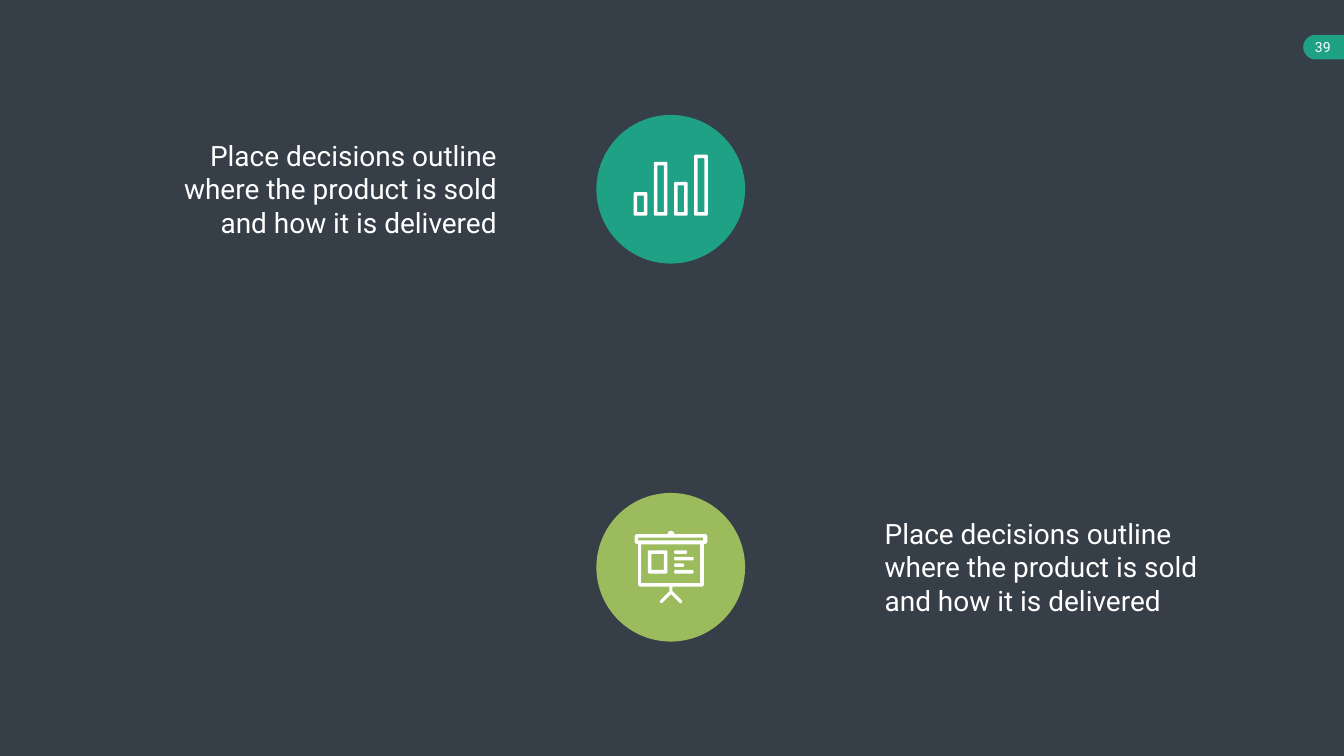
from pptx import Presentation
from pptx.dml.color import RGBColor
from pptx.enum.shapes import MSO_SHAPE
from pptx.enum.text import MSO_AUTO_SIZE, PP_ALIGN
from pptx.util import Inches, Pt

RECTANGLE = MSO_SHAPE.RECTANGLE
ELLIPSE = MSO_SHAPE.OVAL
DELAY = MSO_SHAPE.FLOWCHART_DELAY
LEFT, CENTER, RIGHT = PP_ALIGN.LEFT, PP_ALIGN.CENTER, PP_ALIGN.RIGHT
GROW = MSO_AUTO_SIZE.SHAPE_TO_FIT_TEXT

FONT = "Roboto"
DARK, TEAL, GREEN, WHITE = "363E48", "1EA185", "9BBB5C", "FFFFFF"
CAPTION = "Place decisions outline where the product is sold and how it is delivered"
SLIDE_WIDTH, SLIDE_HEIGHT = 26.66, 15
PANEL_WIDTH, PANEL_HEIGHT = SLIDE_WIDTH / 2, SLIDE_HEIGHT / 2
STROKE, CORNER = 0.07, 0.02
CIRCLE_LEFT, CIRCLE_SIZE = 11.83, 2.95
BOARD_CENTER = 13.31
BOARD_HALF = [
    (0, 10.53), (0.05, 10.55), (0.07, 10.6), (0.69, 10.6), (0.72, 10.63),
    (0.72, 10.76), (0.69, 10.79), (0.65, 10.79), (0.65, 11.61), (0.62, 11.64),
    (0.03, 11.64), (0.03, 11.73), (0.22, 11.92), (0.22, 11.95), (0.19, 11.97),
    (0.17, 11.96), (0, 11.79),
]


def color(hex_code):
    """Return the colour for a hex string."""
    return RGBColor.from_string(hex_code)


def paint(shape, fill):
    """Give a shape a flat fill without outline or shadow."""
    shape.shadow.inherit = False
    shape.fill.solid()
    shape.fill.fore_color.rgb = color(fill)
    shape.line.fill.background()


def add_filled(shapes, kind, left, top, width, height, fill):
    """Add a flat preset shape."""
    shape = shapes.add_shape(kind, Inches(left), Inches(top), Inches(width), Inches(height))
    paint(shape, fill)
    return shape


def add_outline(shapes, contours):
    """Add one white freeform made of closed contours."""
    contours = [[(Inches(x), Inches(y)) for x, y in contour] for contour in contours]
    builder = shapes.build_freeform(*contours[0][0])
    for index, contour in enumerate(contours):
        if index:
            builder.move_to(*contour[0])
        builder.add_line_segments(contour[1:], close=True)
    paint(builder.convert_to_shape(), WHITE)


def box(left, top, right, bottom):
    """Return a clockwise box contour with softened corners."""
    return [
        (left + CORNER, top), (right - CORNER, top),
        (right, top + CORNER), (right, bottom - CORNER),
        (right - CORNER, bottom), (left + CORNER, bottom),
        (left, bottom - CORNER), (left, top + CORNER),
    ]


def hole(left, top, right, bottom):
    """Return a counterclockwise square contour one stroke inside the edges."""
    left, top, right, bottom = left + STROKE, top + STROKE, right - STROKE, bottom - STROKE
    return [(left, top), (left, bottom), (right, bottom), (right, top)]


def add_text(shapes, left, top, width, height, text, size, alignment):
    """Add a white text box with one paragraph and return its frame."""
    text_box = shapes.add_textbox(Inches(left), Inches(top), Inches(width), Inches(height))
    frame = text_box.text_frame
    frame.word_wrap = True
    frame.auto_size = GROW
    paragraph = frame.paragraphs[0]
    paragraph.alignment = alignment
    run = paragraph.add_run()
    run.text = text
    run.font.name = FONT
    run.font.size = Pt(size)
    run.font.color.rgb = color(WHITE)
    return frame


def add_page_badge(shapes):
    """Add the page number on its tab at the right edge."""
    tab = shapes.add_group_shape().shapes
    add_filled(tab, DELAY, 25.85, 0.69, 0.49, 0.49, TEAL).rotation = 180
    add_filled(tab, RECTANGLE, 26.34, 0.69, 0.32, 0.49, TEAL)
    frame = add_text(shapes, 25.87, 0.67, 0.74, 0.54, "39", 20, CENTER)
    frame.word_wrap = False
    frame.margin_left = frame.margin_right = Inches(0.2)
    frame.margin_top = frame.margin_bottom = Inches(0.1)


def add_bars_icon(shapes):
    """Add the bar chart icon."""
    contours = []
    for index, top in enumerate((3.81, 3.21, 3.61, 3.07)):
        left = 12.57 + 0.4 * index
        edges = (left, top, left + 0.27, 4.28)
        contours += [box(*edges), hole(*edges)]
    add_outline(shapes, contours)


def add_board_icon(shapes):
    """Add the presentation board icon."""
    picture = (12.85, 10.92, 13.24, 11.38)
    right_side = [(BOARD_CENTER + x, y) for x, y in BOARD_HALF]
    left_side = [(BOARD_CENTER - x, y) for x, y in BOARD_HALF[-2:0:-1]]
    contours = [
        right_side + left_side,
        hole(12.59, 10.6, 14.02, 10.79),
        hole(12.65, 10.73, 13.96, 11.64),
        box(*picture),
        hole(*picture),
    ]
    for index, length in enumerate((0.26, 0.39, 0.2, 0.39)):
        top = 10.92 + 0.13 * index
        contours.append(box(13.37, top, 13.37 + length, top + STROKE))
    add_outline(shapes, contours)


def add_topic(shapes, panel, top, fill, caption_left, alignment, add_icon):
    """Add a quadrant panel, its caption and a circle with an icon."""
    add_filled(shapes, RECTANGLE, *panel, PANEL_WIDTH, PANEL_HEIGHT, DARK)
    add_text(shapes, caption_left, top + 0.41, 6.56, 2.12, CAPTION, 40, alignment)
    add_filled(shapes, ELLIPSE, CIRCLE_LEFT, top, CIRCLE_SIZE, CIRCLE_SIZE, fill)
    add_icon(shapes)


def main():
    """Build the slide and save it."""
    presentation = Presentation()
    presentation.slide_width = Inches(SLIDE_WIDTH)
    presentation.slide_height = Inches(SLIDE_HEIGHT)
    slide = presentation.slides.add_slide(presentation.slide_layouts[6])
    slide.background.fill.solid()
    slide.background.fill.fore_color.rgb = color(DARK)
    shapes = slide.shapes
    add_page_badge(shapes)
    lower_right = (PANEL_WIDTH, PANEL_HEIGHT)
    add_topic(shapes, lower_right, 9.78, GREEN, 17.45, LEFT, add_board_icon)
    add_topic(shapes, (0, 0), 2.28, TEAL, 3.39, RIGHT, add_bars_icon)
    presentation.save("out.pptx")


if __name__ == "__main__":
    main()
